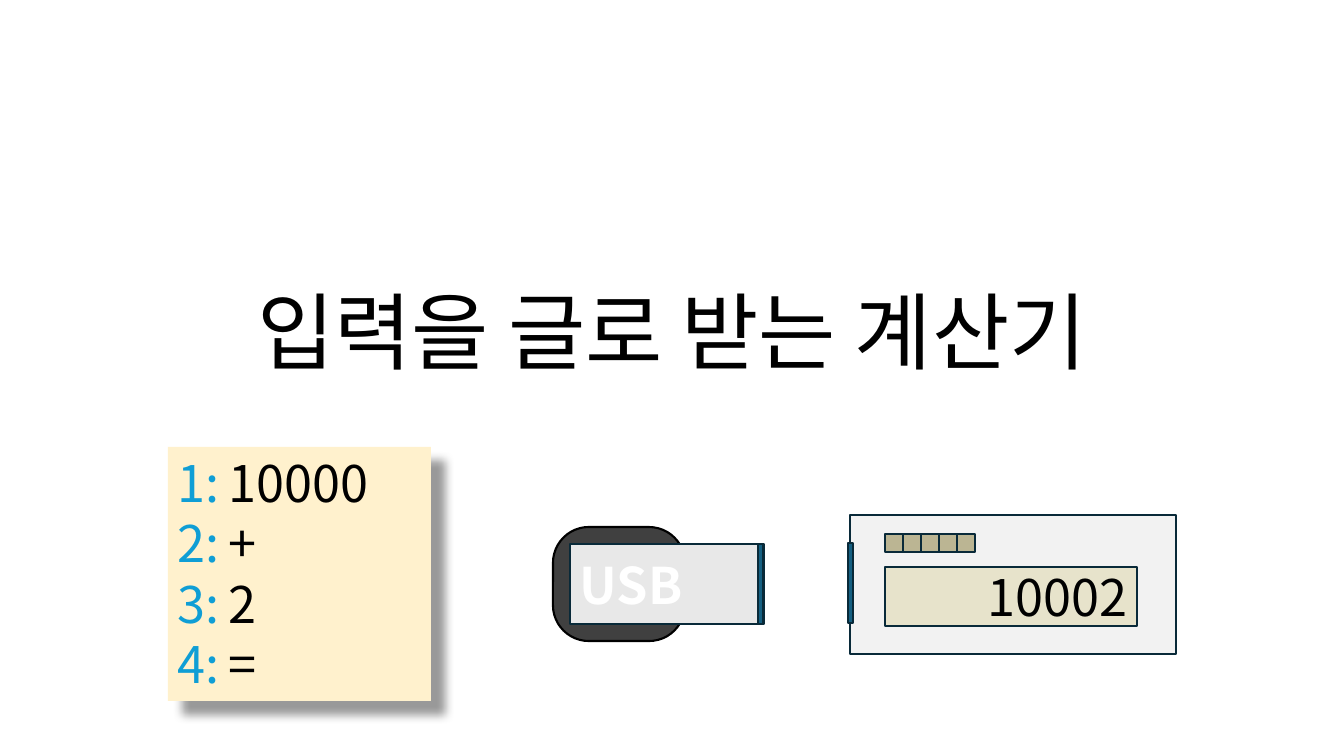
import lxml.etree
import pptx
import pptx.dml.color
import pptx.enum.shapes
import pptx.enum.text
import pptx.oxml.ns
import pptx.util

PX = 914400 / 100.8
THEME = {
    "font": "Noto Sans CJK KR",
    "title size": 60,
    "body size": 36,
    "text": "000000",
    "number": "0F9ED5",
    "label": "FFFFFF",
    "outline": "092A39",
    "note": "FFF1CD",
    "grip": "404040",
    "stick": "E8E8E8",
    "connector": "156082",
    "calculator": "F2F2F2",
    "display": "E7E3CB",
    "key": "BBB593",
}
RECTANGLE = pptx.enum.shapes.MSO_SHAPE.RECTANGLE
ROUNDED = pptx.enum.shapes.MSO_SHAPE.ROUNDED_RECTANGLE
ALIGN = pptx.enum.text.PP_ALIGN
ANCHOR = pptx.enum.text.MSO_ANCHOR

presentation = pptx.Presentation()
presentation.slide_width = round(1344 * PX)
presentation.slide_height = round(756 * PX)
slide = presentation.slides.add_slide(presentation.slide_layouts[6])


def add_box(bounds, fill, outline="outline", preset=RECTANGLE):
    shape = slide.shapes.add_shape(preset, *[round(length * PX) for length in bounds])
    shape.shadow.inherit = False
    shape.fill.solid()
    shape.fill.fore_color.rgb = pptx.dml.color.RGBColor.from_string(THEME[fill])
    if outline:
        shape.line.color.rgb = pptx.dml.color.RGBColor.from_string(THEME[outline])
        shape.line.width = pptx.util.Pt(1.5)
    else:
        shape.line.fill.background()
    return shape


def add_run(paragraph, text, color="text", size="body size", bold=False):
    run = paragraph.add_run()
    run.text = text
    run.font.size = pptx.util.Pt(THEME[size])
    run.font.bold = bold
    run.font.color.rgb = pptx.dml.color.RGBColor.from_string(THEME[color])
    run.font.name = THEME["font"]
    east_asian = lxml.etree.SubElement(run.font._element, pptx.oxml.ns.qn("a:ea"))
    east_asian.set("typeface", THEME["font"])


grip = add_box((553, 527, 132, 114), "grip", "text", ROUNDED)
grip.adjustments[0] = 0.315

title = slide.shapes.add_textbox(*[round(length * PX) for length in (168, 124, 1008, 263)])
title.text_frame.word_wrap = True
title.text_frame.vertical_anchor = ANCHOR.BOTTOM
title_paragraph = title.text_frame.paragraphs[0]
title_paragraph.alignment = ALIGN.CENTER
title_paragraph.line_spacing = 0.9
add_run(title_paragraph, "입력을 글로 받는 계산기", size="title size")

note = add_box((168, 447, 263, 254), "note", None)
effects = note._element.spPr.find(pptx.oxml.ns.qn("a:effectLst"))
effects.append(pptx.oxml.parse_xml(
    f'<a:outerShdw {pptx.oxml.ns.nsdecls("a")} blurRad="88900" dist="177800" '
    'dir="2700000" algn="tl" rotWithShape="0"><a:srgbClr val="000000">'
    '<a:alpha val="40000"/></a:srgbClr></a:outerShdw>'))
note_frame = note.text_frame
note_frame.word_wrap = False
note_frame.auto_size = pptx.enum.text.MSO_AUTO_SIZE.SHAPE_TO_FIT_TEXT
note_frame.vertical_anchor = ANCHOR.TOP
for index, entry in enumerate(["10000", "+", "2", "="]):
    paragraph = note_frame.add_paragraph() if index else note_frame.paragraphs[0]
    paragraph.alignment = ALIGN.LEFT
    add_run(paragraph, f"{index + 1}:", "number")
    add_run(paragraph, f"\t{entry}")

stick = add_box((570, 544, 194, 80), "stick")
stick.text_frame.vertical_anchor = ANCHOR.MIDDLE
stick_paragraph = stick.text_frame.paragraphs[0]
stick_paragraph.alignment = ALIGN.LEFT
add_run(stick_paragraph, "USB", "label", bold=True)
add_box((758, 544, 5, 80), "connector")

add_box((850, 515, 326, 139), "calculator")
display = add_box((885, 567, 252, 59), "display")
display.text_frame.vertical_anchor = ANCHOR.MIDDLE
display_paragraph = display.text_frame.paragraphs[0]
display_paragraph.alignment = ALIGN.RIGHT
add_run(display_paragraph, "10002")
for key in range(5):
    add_box((885 + 18 * key, 534, 18, 18), "key")
add_box((848, 543, 5, 80), "connector")

presentation.save("out.pptx")
